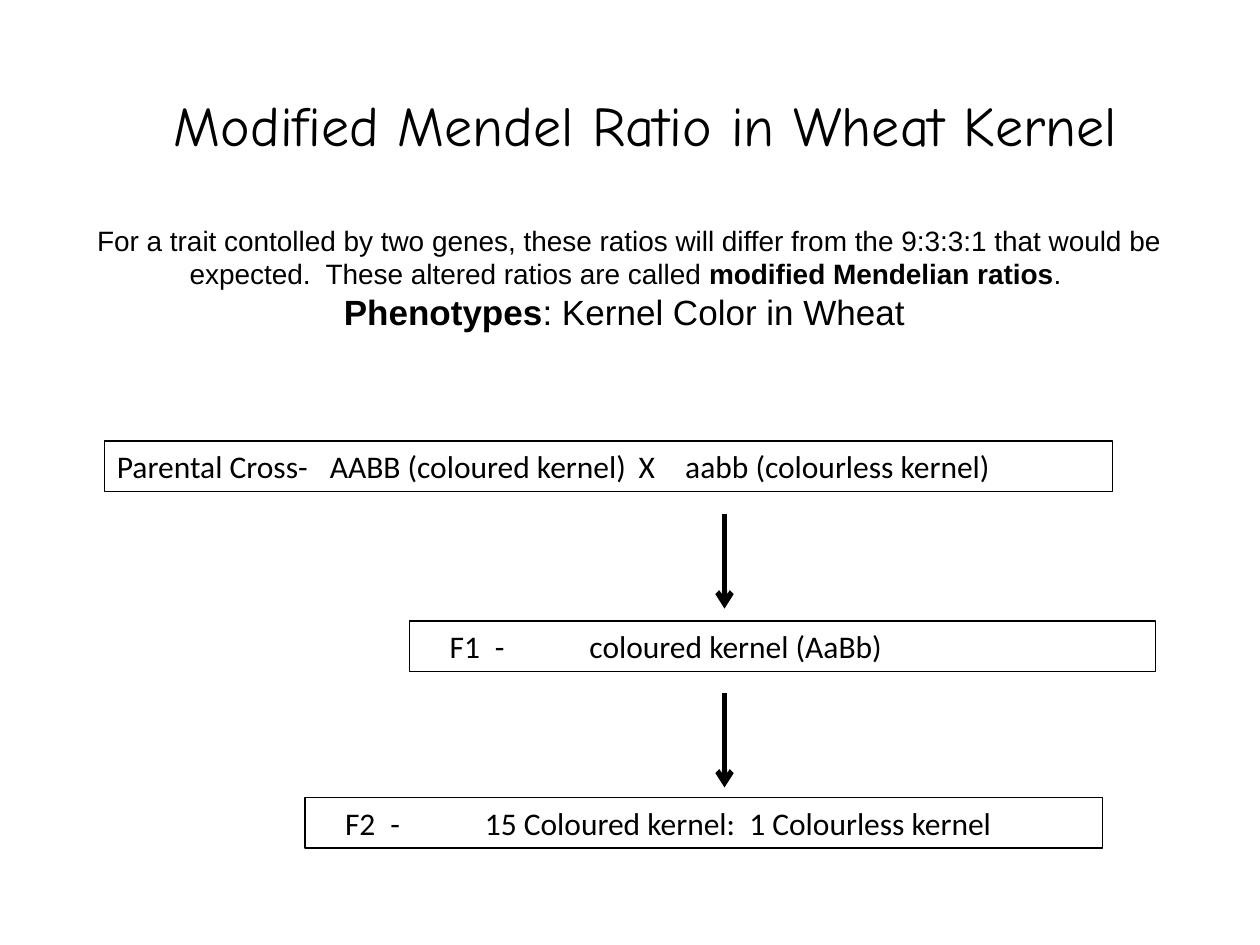
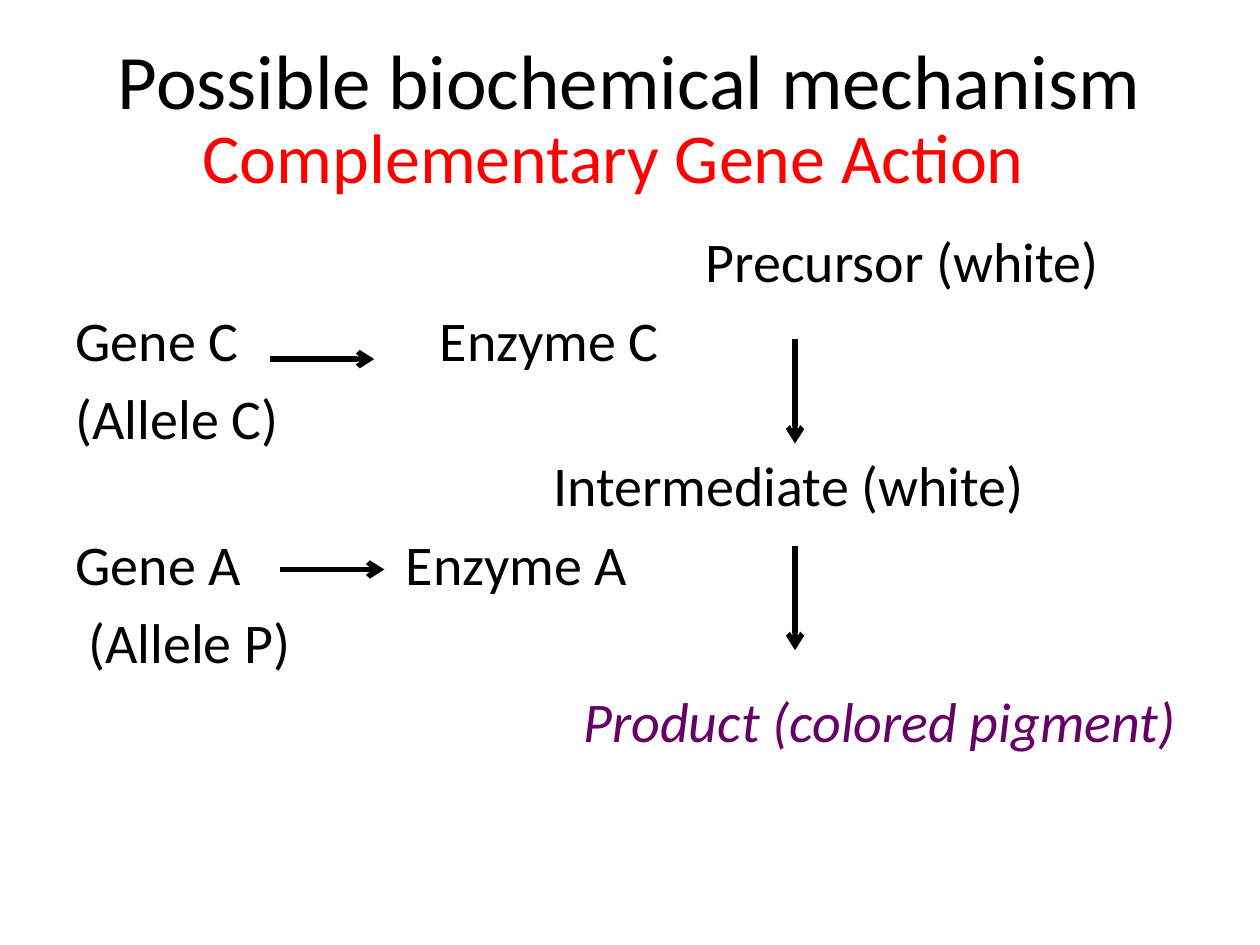
"""Build two slides on modified Mendelian ratios and complementary gene action."""
from pptx import Presentation
from pptx.dml.color import RGBColor as Rgb
from pptx.enum.shapes import MSO_CONNECTOR as Conn, MSO_SHAPE as Form
from pptx.enum.text import MSO_ANCHOR as Anchor, MSO_AUTO_SIZE as Auto, PP_ALIGN as Align
from pptx.oxml.ns import qn
from pptx.util import Inches, Pt
from lxml.etree import SubElement as Sub

theme = {
    "ink": Rgb(0, 0, 0),
    "red": Rgb(255, 0, 0),
    "plum": Rgb(0x66, 0, 0x66),
    "script": {"name": "Comic Neue", "size": Pt(32)},
    "intro": {"name": "Arial", "size": Pt(16)},
    "trait": {"name": "Arial", "size": Pt(20)},
    "cross": {"name": "Calibri", "size": Pt(18)},
    "head": {"name": "Calibri", "size": Pt(44)},
    "sub": {"name": "Calibri", "size": Pt(40)},
    "step": {"name": "Calibri", "size": Pt(32)},
}
flush = (0, 0)


def write(shape, at, rows, anchor=Anchor.TOP, align=Align.LEFT, stops=()):
    """Place a shape and fill it with rows of (style, runs, margin and indent, space before)."""
    for side, size in zip(("left", "top", "width", "height"), at):
        setattr(shape, side, Inches(size))
    frame = shape.text_frame
    look = {"word_wrap": True, "auto_size": Auto.NONE, "vertical_anchor": anchor}
    for key, val in look.items():
        setattr(frame, key, val)
    for num, (style, runs, dent, gap) in enumerate(rows):
        para = frame.add_paragraph() if num else frame.paragraphs[0]
        para.alignment, para.space_before = align, Pt(gap)
        props = para._p.get_or_add_pPr()
        for key, val in zip(("marL", "indent"), dent):
            props.set(key, str(Inches(val)))
        Sub(props, qn("a:buNone"))
        if stops:
            tabs = Sub(props, qn("a:tabLst"))
            for stop in stops:
                Sub(tabs, qn("a:tab"), pos=str(Inches(stop)), algn="l")
        for text, extra in runs:
            run = para.add_run()
            run.text = text
            form = {"bold": False, **theme[style], **extra}
            run.font.color.rgb = theme[form.pop("tint", "ink")]
            for key, val in form.items():
                setattr(run.font, key, val)


def arrow(slide, x, y, dx, dy):
    """Draw a thick arrow from a point."""
    line = slide.shapes.add_connector(
        Conn.STRAIGHT, Inches(x), Inches(y), Inches(x + dx), Inches(y + dy))
    line.line.color.rgb, line.line.width = theme["ink"], Pt(3)
    Sub(line.line._get_or_add_ln(), qn("a:tailEnd"), type="arrow")
    Sub(line._element.spPr, qn("a:effectLst"))


deck = Presentation()
deck.slide_width, deck.slide_height = Inches(10), Inches(7.5)
layout = deck.slide_layouts[1]

wheat = deck.slides.add_slide(layout)
write(wheat.shapes.title, (0.75, 0.67, 8.75, 0.64),
      [("script", [("Modified Mendel Ratio in Wheat Kernel", {})], flush, 0)],
      align=Align.CENTER)
bold = {"bold": True}
write(wheat.placeholders[1], (0.58, 1.72, 8.83, 1.35), [
    ("intro", [("For a trait contolled by two genes, these ratios will differ from "
                "the 9:3:3:1 that would be expected.  These altered ratios are called ", {}),
               ("modified Mendelian ratios", bold), (". ", {})], flush, 0),
    ("trait", [("Phenotypes", bold), (": Kernel Color in Wheat ", {})], flush, 0),
], align=Align.CENTER)

kin = (0.22, 0.58, 1.33)
crosses = [
    (0.83, 3.5, 8, "Parental Cross-\tAABB (coloured kernel)\tX\taabb (colourless kernel)",
     (1.69, 4.14, 4.51)),
    (3.25, 4.93, 5.92, "\tF1\t-\tcoloured kernel (AaBb)", kin),
    (2.42, 6.33, 6.33, "\tF2\t-\t15 Coloured kernel:  1 Colourless kernel", kin),
]
for x, y, wide, text, stops in crosses:
    box = wheat.shapes.add_shape(Form.RECTANGLE, 0, 0, 0, 0)
    box.shadow.inherit = False
    box.fill.background()
    box.line.color.rgb, box.line.width = theme["ink"], Pt(0.75)
    write(box, (x, y, wide, 0.4), [("cross", [(text, {})], (), 0)], stops=stops)
for y in (4.08, 5.5):
    arrow(wheat, 5.75, y, 0, 0.75)

genes = deck.slides.add_slide(layout)
write(genes.shapes.title, (0.5, 0, 9, 1.25),
      [("head", [("Possible biochemical mechanism", {})], flush, 0)],
      Anchor.MIDDLE, Align.CENTER)
steps = [
    ("Precursor (white)", (5, 0), 0, {}),
    ("Gene C\tEnzyme C", (2.89, -2.89), 6.4, {}),
    ("(Allele C)", flush, 6.4, {}),
    ("Intermediate (white)", (3.79, 0), 0, {}),
    ("Gene A\tEnzyme A", (2.62, -2.62), 6.4, {}),
    ("(Allele P)", (0.1, 0), 6.4, {}),
    ("Product (colored pigment)", (4.03, 0), 6.4, {"italic": True, "tint": "plum"}),
]
write(genes.placeholders[1], (0.5, 1.75, 9, 5.58),
      [("step", [(text, extra)], dent, gap) for text, dent, gap, extra in steps])
for x, y in ((2.14, 2.85), (2.22, 4.52)):
    arrow(genes, x, y, 0.83, 0)
for y in (2.69, 4.33):
    arrow(genes, 6.31, y, 0, 0.83)
write(genes.shapes.add_textbox(0, 0, 0, 0), (1.51, 0.85, 8.54, 0.77),
      [("sub", [("Complementary Gene Action", {"tint": "red"})], (), 0)])

deck.save("out.pptx")
